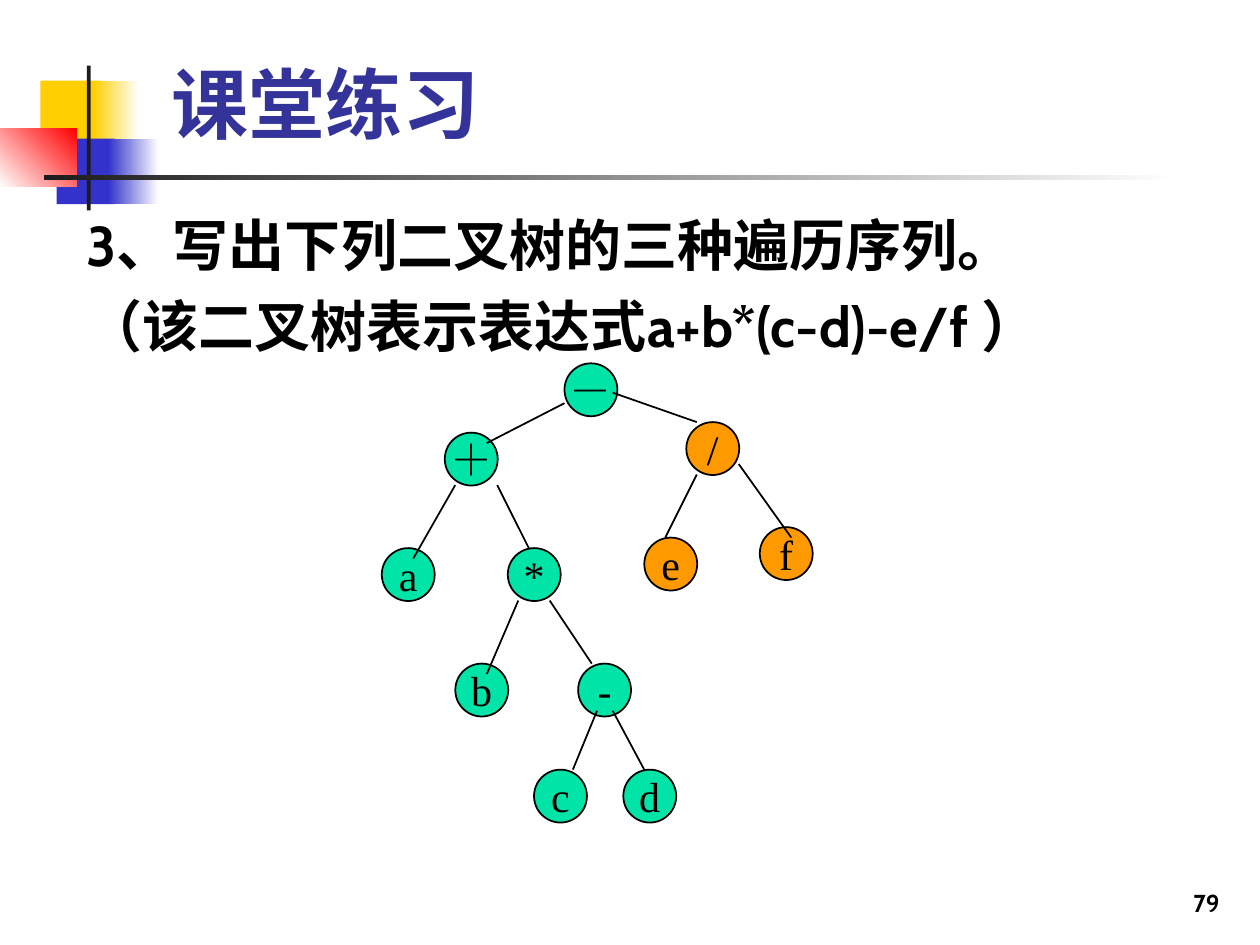
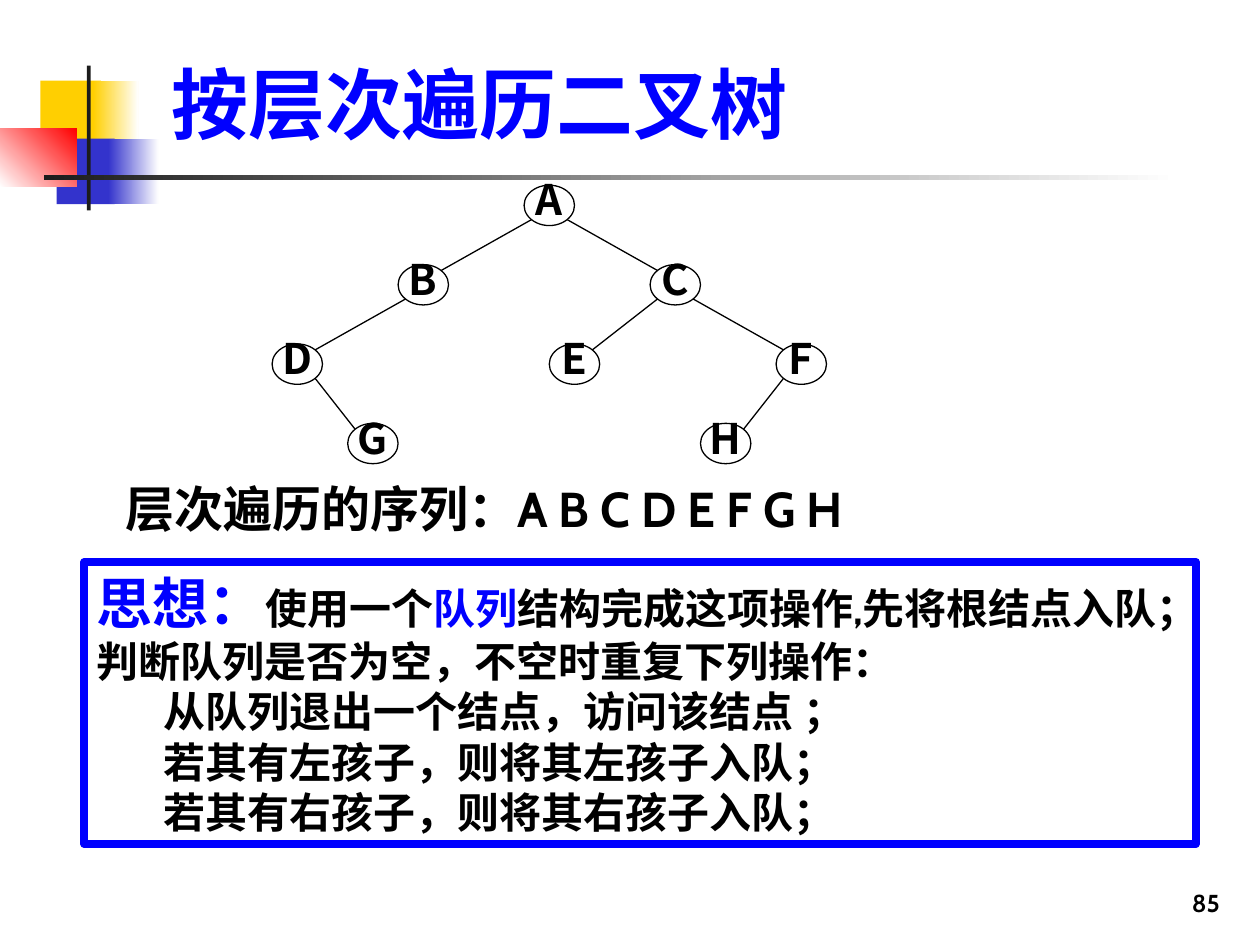
"""Two slides on traversing binary trees."""
from math import sqrt

from pptx import Presentation, util as u
from pptx.dml.color import RGBColor
from pptx.enum import shapes, text
from pptx.oxml.ns import qn
from lxml import etree

HUE = {"ink": "000000", "title": "333399", "blue": "0000FF", "green": "00E4A8",
       "orange": "FF9900", "gold": "FFCF01", "navy": "3333CC", "red": "FF0000",
       "dark": "1C1C1C", "white": "FFFFFF"}
SANS, CJK, SERIF = "Cabin", "Noto Sans CJK SC", "Times New Roman"
WIDE, HIGH = 10, 7.5
OVAL, RECT = shapes.MSO_SHAPE.OVAL, shapes.MSO_SHAPE.RECTANGLE
LEFT, MID, RIGHT = (text.PP_ALIGN.LEFT, text.PP_ALIGN.CENTER, text.PP_ALIGN.RIGHT)

# Bands: place, colours, angle
BANDS = [
    ((0.32, 0.64, 0.48, 0.52), ["gold"], 0),
    ((0.74, 0.64, 0.36, 0.52), ["gold", "white"], 0),
    ((0.45, 1.1, 0.46, 0.52), ["navy"], 0),
    ((0.86, 1.1, 0.4, 0.52), ["navy", "white"], 0),
    ((0, 1.02, 0.61, 0.46), ["white", "red"], 45),
    ((0.69, 0.52, 0.03, 1.15), ["dark"], 0),
    ((0.35, 1.39, 9, 0.04), ["dark", "white"], 0),
]
TITLE = (0.126 * WIDE, 0.23, 0.852 * WIDE, 1)
PAGE = (0.77 * WIDE, 6.83, 0.208 * WIDE, 0.5)

TASK = ["3、写出下列二叉树的三种遍历序列。", "（该二叉树表示表达式a+b*(c-d)-e/f ）"]
TERMS = {
    "green": [("－", 17.4, 0.4), ("＋", 6, 7), ("*", 12, 18), ("a", 0, 18), ("b", 7, 29),
              ("-", 18.7, 29), ("d", 23, 39.1), ("c", 14.5, 39.1)],
    "orange": [("/", 29, 6), ("f", 36, 16), ("e", 25, 17)],
}
LINKS = [
    (17.4, 4.2, 10, 8), (7, 12, 3, 19), (11, 12, 14, 18), (13, 23, 10, 30),
    (16, 23, 20, 29), (22, 33.5, 25, 39.1), (20.5, 33.5, 18.2, 39.1),
    (22, 3.2, 30, 6), (30, 11, 27, 17), (34, 10, 39, 17),
]

LEVELS = {"A": (10, 0), "B": (5, 1), "C": (15, 1), "D": (0, 2), "E": (11, 2),
          "F": (20, 2), "G": (3, 3), "H": (17, 3)}
PAIRS = ["AB", "AC", "BD", "CE", "CF", "DG", "FH"]
ORDER = "层次遍历的序列：A B C D E F G H"
IDEA = [("思想：", 32, "blue"), ("使用一个", 24, "ink"), ("队列", 24, "blue"),
        ("结构完成这项操作,先将根结点入队；判断队列是否为空，不空时重复下列操作：", 24, "ink")]
STEPS = ["从队列退出一个结点，访问该结点 ；", "若其有左孩子，则将其左孩子入队；",
         "若其有右孩子，则将其右孩子入队；"]


def rgb(name):
    return RGBColor.from_string(HUE[name])


def inch(place):
    return [u.Inches(n) for n in place]


def write(para, words, size, hue="ink", face=SANS, bold=True):
    run = para.add_run()
    run.text = words
    font = run.font
    font.size, font.name, font.bold = u.Pt(size), face, bold
    font.color.rgb = rgb(hue)
    east = etree.SubElement(run._r.get_or_add_rPr(), qn("a:ea"))
    east.set("typeface", CJK if face == SANS else face)


def setup(frame, anchor=text.MSO_ANCHOR.TOP, wrap=True, align=LEFT):
    frame.word_wrap = wrap
    frame.auto_size = text.MSO_AUTO_SIZE.NONE
    frame.vertical_anchor = anchor
    para = frame.paragraphs[0]
    para.alignment = align
    return para


def shape(group, kind, place, hues=(), angle=0, edge=None, width=1):
    item = group.add_shape(kind, *inch(place))
    item.shadow.inherit = False
    if not hues:
        item.fill.background()
    elif len(hues) == 1:
        item.fill.solid()
        item.fill.fore_color.rgb = rgb(hues[0])
    else:
        item.fill.gradient()
        item.fill.gradient_angle = angle
        for stop, hue in zip(item.fill.gradient_stops, hues):
            stop.color.rgb = rgb(hue)
    if edge:
        item.line.color.rgb = rgb(edge)
        item.line.width = u.Pt(width)
    else:
        item.line.fill.background()
    return item


def node(group, label, place, hues, width, face, bold):
    item = shape(group, OVAL, place, hues, edge="ink", width=width)
    para = setup(item.text_frame, text.MSO_ANCHOR.MIDDLE, False, MID)
    write(para, label, 24, face=face, bold=bold)
    return para


def link(group, ends, width):
    line = group.add_connector(shapes.MSO_CONNECTOR.STRAIGHT, *inch(ends))
    line.line.color.rgb = rgb("ink")
    line.line.width = u.Pt(width)
    etree.SubElement(line._element.spPr, qn("a:effectLst"))


def box(slide, place, **style):
    frame = slide.shapes.add_textbox(*inch(place)).text_frame
    return frame, setup(frame, **style)


def start(deck, name, hue, page):
    slide = deck.slides.add_slide(deck.slide_layouts[5])
    for place, hues, angle in BANDS:
        shape(slide.shapes, RECT, place, hues, angle)
    title = slide.shapes.title
    title.left, title.top, title.width, title.height = inch(TITLE)
    write(setup(title.text_frame, text.MSO_ANCHOR.BOTTOM), name, 44, hue)
    slide.shapes._spTree.append(title._element)
    _, para = box(slide, PAGE, anchor=text.MSO_ANCHOR.BOTTOM, align=RIGHT)
    para.line_spacing = 0.8
    write(para, str(page), 14)
    return slide


def drill(deck):
    slide = start(deck, "课堂练习", "title", 79)
    frame, para = box(slide, (0.59, 1.62, 9.21, 1.28))
    write(para, TASK[0], 32)
    para = frame.add_paragraph()
    para.space_before = u.Pt(8)
    write(para, TASK[1], 32)

    left, top, unit, size = 3.03, 2.85, 1 / 12, 0.42
    tree = slide.shapes.add_group_shape().shapes
    for hue, terms in TERMS.items():
        for label, col, row in terms:
            place = (left + col * unit, top + row * unit, size, size)
            node(tree, label, place, [hue], 1, SERIF, False)
    for x1, y1, x2, y2 in LINKS:
        ends = (left + x1 * unit, top + y1 * unit, left + x2 * unit, top + y2 * unit)
        link(tree, ends, 1)


def levels(deck):
    slide = start(deck, "按层次遍历二叉树", "blue", 85)
    _, para = box(slide, (0.9, 3.75, 8.5, 0.79))
    write(para, ORDER, 28)

    left, top, col, row, wide, high = 2.16, 1.47, 0.2, 0.63, 0.4, 0.32
    spots = {k: (left + c * col, top + r * row) for k, (c, r) in LEVELS.items()}
    tree = slide.shapes.add_group_shape().shapes
    for label, spot in spots.items():
        para = node(tree, label, (*spot, wide, high), (), 0.75, CJK, True)
        para.line_spacing = 0.7
    dx, dy = wide / 2 / sqrt(2), high / 2 / sqrt(2)
    for up, down in PAIRS:
        (x1, y1), (x2, y2) = [(x + wide / 2, y + high / 2)
                              for x, y in (spots[up], spots[down])]
        side = dx if x2 > x1 else -dx
        link(tree, (x1 + side, y1 + dy, x2 - side, y2 - dy), 0.75)

    frame = shape(slide.shapes, RECT, (0.67, 4.46, 8.82, 2.24),
                  edge="blue", width=4.5).text_frame
    para = setup(frame)
    for words, size, hue in IDEA:
        write(para, words, size, hue)
    for step in STEPS:
        para = frame.add_paragraph()
        para.alignment = LEFT
        para._p.get_or_add_pPr().set("marL", str(u.Inches(0.53)))
        write(para, step, 24)


def main():
    deck = Presentation()
    deck.slide_width, deck.slide_height = inch((WIDE, HIGH))
    drill(deck)
    levels(deck)
    deck.save("out.pptx")


if __name__ == "__main__":
    main()
